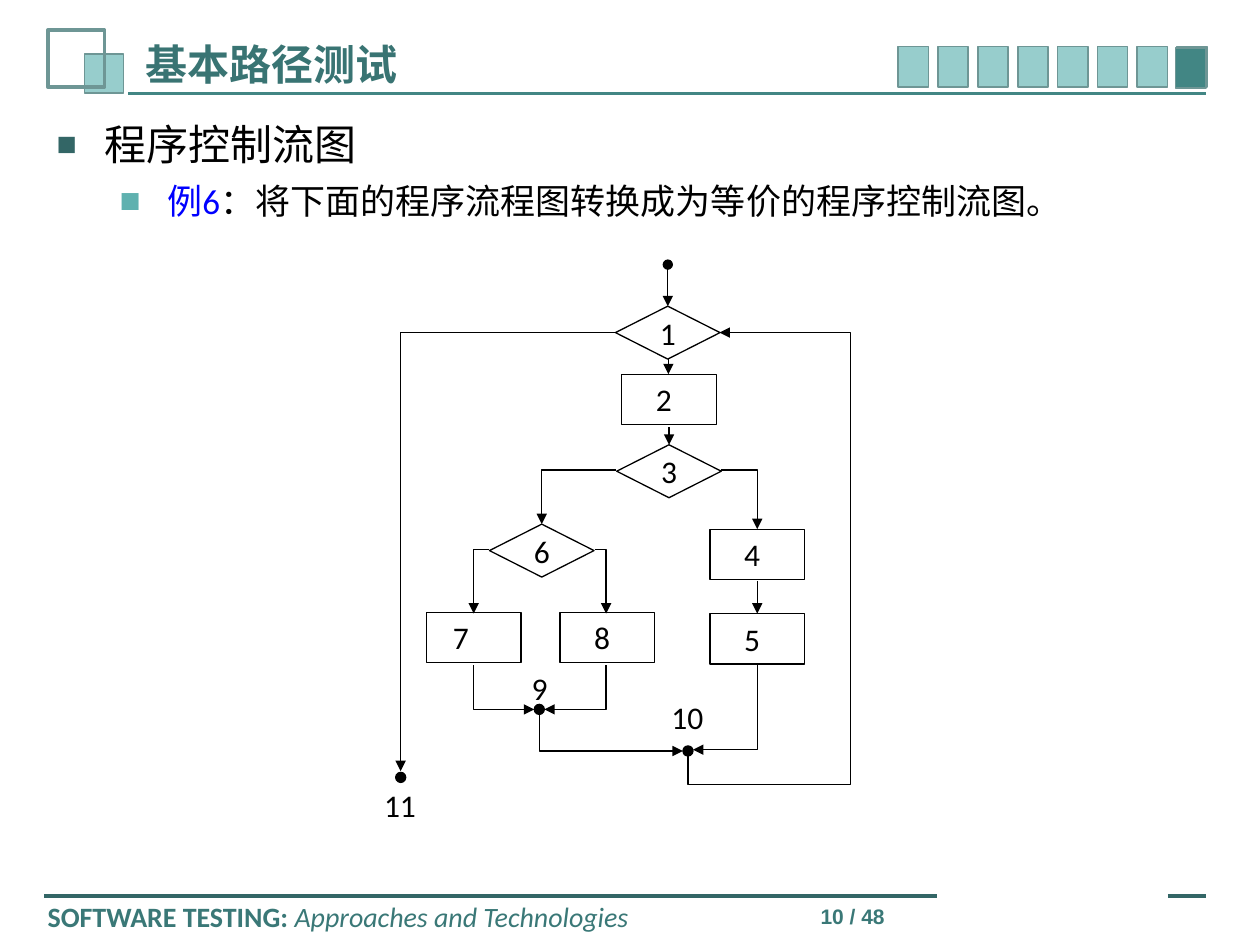
from typing import NamedTuple

from lxml.etree import SubElement
from pptx import Presentation
from pptx.dml.color import RGBColor
from pptx.enum.shapes import MSO_CONNECTOR as Link, MSO_SHAPE as Form
from pptx.enum.text import MSO_ANCHOR as Anchor, PP_ALIGN as Align
from pptx.oxml.ns import qn
from pptx.util import Emu, Inches, Pt

# Grid: 100 columns by 75 rows
COLS, ROWS = 100, 75
WIDE, HIGH = Inches(10), Inches(7.5)
BLACK, TEAL, DARK, PALE, EDGE = "000000", "3A7877", "336666", "97CDCC", "6E9695"


class Run(NamedTuple):
    text: str
    size: float = 18
    color: str = BLACK
    bold: bool = False
    slant: bool = False
    font: str = "Calibri"


class Node(NamedTuple):
    name: str
    x: float  # centre column
    y: float  # centre row
    pad: float = 1  # left inset in columns


class Wire(NamedTuple):
    start: tuple
    end: tuple
    kind: str = "line"  # line, across (level first), down (upright first)
    bends: tuple = ()  # shifts of a wire with more than one bend
    head: str = ""


def col(n: float) -> Emu:
    return Emu(round(WIDE * n / COLS))


def row(n: float) -> Emu:
    return Emu(round(HIGH * n / ROWS))


def rgb(code: str) -> RGBColor:
    return RGBColor.from_string(code)


def add_run(para, run: Run) -> None:
    part = para.add_run()
    part.text = run.text
    font = part.font
    font.name, font.size = run.font, Pt(run.size)
    font.bold, font.italic = run.bold, run.slant
    font.color.rgb = rgb(run.color)


def set_frame(shape, pad: float = 1, wrap: bool = True, anchor=Anchor.TOP):
    frame = shape.text_frame
    frame.word_wrap, frame.vertical_anchor = wrap, anchor
    frame.margin_left, frame.margin_right = col(pad), col(1)
    frame.margin_top = frame.margin_bottom = row(0.5)
    return frame


def add_text(x, y, w, h, runs, pad=1, align=Align.LEFT) -> None:
    box = slide.shapes.add_textbox(col(x), row(y), col(w), row(h))
    para = set_frame(box, pad).paragraphs[0]
    para.alignment = align
    for run in runs:
        add_run(para, run)


def add_form(form, x, y, w, h, fill="", line=BLACK, width=0.75):
    shape = slide.shapes.add_shape(form, col(x), row(y), col(w), row(h))
    shape.shadow.inherit = False
    if fill:
        shape.fill.solid()
        shape.fill.fore_color.rgb = rgb(fill)
    else:
        shape.fill.background()
    shape.line.color.rgb, shape.line.width = rgb(line), Pt(width)
    return shape


def add_node(form, node: Node, w: float, h: float) -> None:
    shape = add_form(form, node.x - w / 2, node.y - h / 2, w, h)
    gem = form == Form.DIAMOND
    frame = set_frame(shape, node.pad, not gem, Anchor.MIDDLE if gem else Anchor.TOP)
    para = frame.paragraphs[0]
    para.alignment = Align.CENTER if gem else Align.LEFT
    add_run(para, Run(node.name))


def add_line(start, end, color=BLACK, width=0.75, kind=Link.STRAIGHT):
    line = slide.shapes.add_connector(
        kind, col(start[0]), row(start[1]), col(end[0]), row(end[1]))
    line.line.color.rgb, line.line.width = rgb(color), Pt(width)
    SubElement(line._element.spPr, qn("a:effectLst"))
    return line


def add_wire(wire: Wire) -> None:
    (x1, y1), (x2, y2) = wire.start, wire.end
    if wire.kind == "down":  # lay the wire on its side, then turn it
        mx, my = (x1 + x2) / 2, (y1 + y2) / 2
        dx, dy = (x2 - x1) / 2, (y2 - y1) / 2
        x1, y1, x2, y2 = mx - dy, my + dx, mx + dy, my - dx
    kind = Link.STRAIGHT if wire.kind == "line" else Link.ELBOW
    line = add_line((x1, y1), (x2, y2), kind=kind)
    props = line._element.spPr
    if wire.kind == "down":
        props.find(qn("a:xfrm")).set("rot", "5400000")
    if wire.kind != "line":
        geom = props.find(qn("a:prstGeom"))
        geom.set("prst", f"bentConnector{len(wire.bends) + 2}")
        shifts = geom.find(qn("a:avLst"))
        for i, bend in enumerate(wire.bends, 1):
            SubElement(shifts, qn("a:gd"), name=f"adj{i}",
                       fmla=f"val {round(bend * 100000)}")
    stroke = props.find(qn("a:ln"))
    if wire.head:
        SubElement(stroke, qn("a:headEnd"), type=wire.head)
    SubElement(stroke, qn("a:tailEnd"), type="triangle")


def add_point(frame, first: bool, left: float, color: str, share: int, runs) -> None:
    para = frame.paragraphs[0] if first else frame.add_paragraph()
    para.level, para.line_spacing = int(not first), 1.25
    props = para._p.get_or_add_pPr()
    props.set("marL", str(col(left)))
    props.set("indent", str(-col(3.8)))
    SubElement(SubElement(props, qn("a:buClr")), qn("a:srgbClr"), val=color)
    SubElement(props, qn("a:buSzPct"), val=str(share * 1000))
    SubElement(props, qn("a:buFont"), typeface="Arial")
    SubElement(props, qn("a:buChar"), char="■")
    for run in runs:
        add_run(para, run)


deck = Presentation()
deck.slide_width, deck.slide_height = WIDE, HIGH
slide = deck.slides.add_slide(deck.slide_layouts[6])

# Rules and footer
add_line((10.2, 7.4), (95.7, 7.4), "428684", 1.5)
for left, right in ((3.5, 74.4), (92.7, 95.7)):
    add_line((left, 71.1), (right, 71.1), DARK, 2.25)
add_text(2.8, 70.9, 51.2, 3.7, [
    Run("SOFTWARE TESTING:", 16, TEAL, bold=True),
    Run(" Approaches and Technologies", 16, TEAL, slant=True)])
add_text(61, 71.2, 10.2, 2.4, [Run("10 / 48", 12, TEAL, True, font="Arial")],
         align=Align.RIGHT)

# Header squares and title
add_form(Form.RECTANGLE, 6.7, 4.3, 3.1, 3.1, PALE, EDGE, 1)
add_form(Form.RECTANGLE, 3.8, 2.4, 4.5, 4.5, "", EDGE, 2.25)
for i in range(8):
    add_form(Form.RECTANGLE, 71.3 + 3.16 * i, 3.7, 2.4, 3.2, PALE, EDGE, 1)
add_form(Form.RECTANGLE, 93.3, 3.8, 2.4, 3.2, "428684", EDGE, 1)
add_text(10.6, 2.6, 59.8, 4.9, [Run("基本路径测试", 24, "397473", bold=True)])

# Body points
body = set_frame(slide.shapes.add_textbox(col(3.5), row(7.9), col(92.2), row(10.3)))
add_point(body, True, 3.8, DARK, 80, [Run("程序控制流图", 24)])
add_point(body, False, 8.8, "5FB1AF", 100, [
    Run("例6", 20, "0000FF"),
    Run("：将下面的程序流程图转换成为等价的程序控制流图。", 20)])

# Flow chart nodes
for node in (Node("1", 53, 26.4), Node("3", 53.1, 37.4), Node("6", 43, 43.7)):
    add_node(Form.DIAMOND, node, 8.3, 4.2)
for node in (Node("2", 53.1, 31.7, 2.7), Node("4", 60.1, 44, 2.7),
             Node("5", 60.1, 50.7, 2.7), Node("7", 37.6, 50.6, 2.1),
             Node("8", 48.2, 50.6, 2.7)):
    add_node(Form.RECTANGLE, node, 7.5, 4)

# Joints and their labels
for x, y in ((31.8, 61.7), (54.6, 59.6), (42.8, 56.3)):
    add_form(Form.OVAL, x - 0.4, y - 0.4, 0.8, 0.8, BLACK)
for node in (Node("11", 29.5, 61.9), Node("9", 40.6, 52.6, 1.6),
             Node("10", 52.3, 54.9)):
    add_text(node.x, node.y, 5, 4, [Run(node.name)], node.pad)

# Wires between the nodes
for wire in (
    Wire((53, 21), (53, 24.3), head="oval"),
    Wire((53.05, 28.5), (53.05, 29.7)),
    Wire((53.1, 33.9), (53.1, 35.3)),
    Wire((60.1, 46.1), (60.1, 48.7)),
    Wire((57.2, 37.3), (60.1, 42), "across"),
    Wire((48.9, 37.3), (43, 41.6), "across"),
    Wire((47.2, 43.6), (48.1, 48.7), "across"),
    Wire((38.8, 43.6), (37.6, 48.7), "across"),
    Wire((48.8, 26.4), (31.8, 61.2), "across"),
    Wire((54.6, 59.9), (57.1, 26.4), "down", (-0.07, 5.16)),
    Wire((60.1, 52.8), (55, 59.5), "down"),
    Wire((42.8, 56.7), (54.2, 59.6), "down"),
    Wire((37.6, 52.8), (42.4, 56.3), "down"),
    Wire((48.1, 52.8), (43.2, 56.3), "down"),
):
    add_wire(wire)

deck.save("out.pptx")
